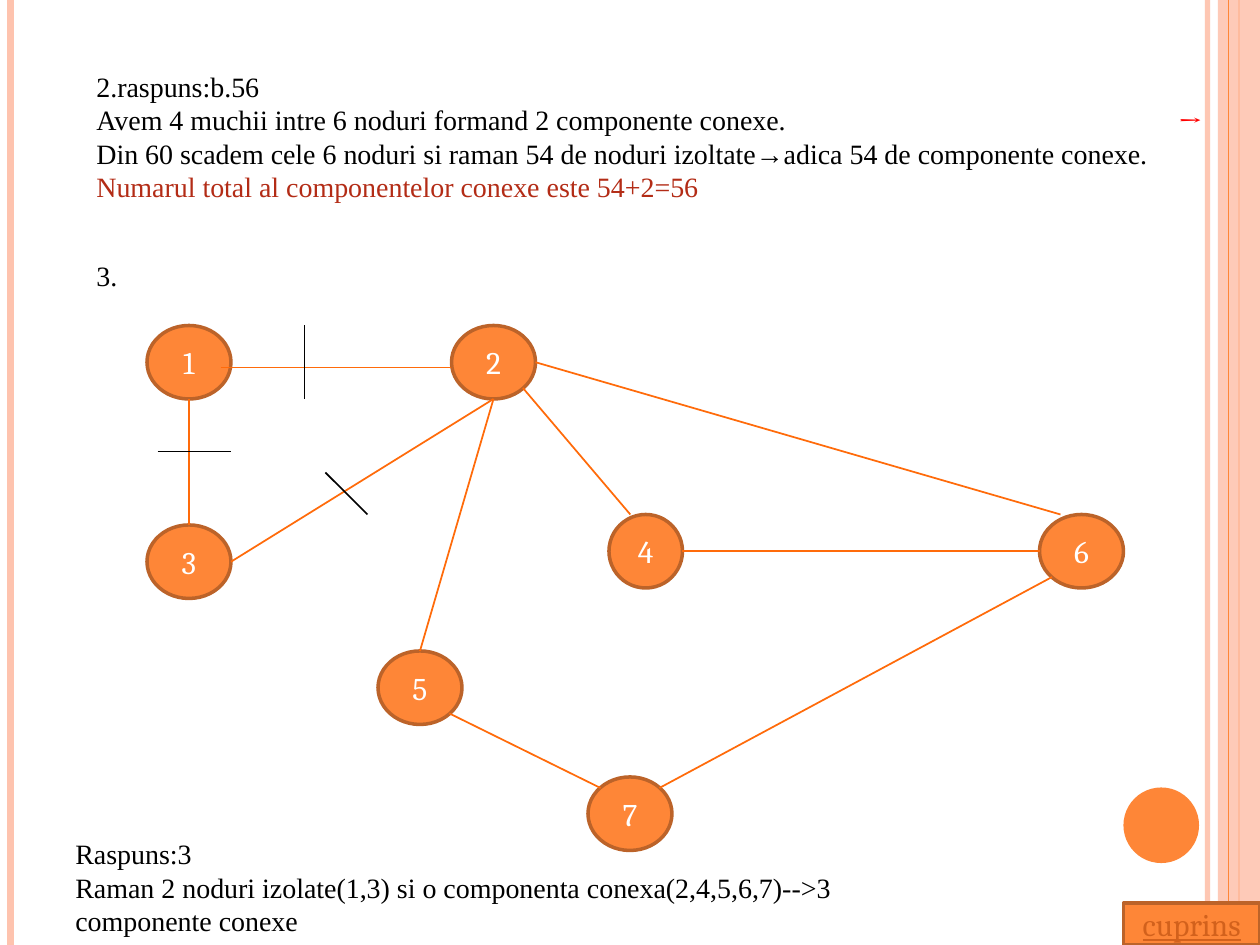
from lxml import etree
from pptx import Presentation
from pptx.dml.color import RGBColor
from pptx.enum import shapes, text
from pptx.oxml.ns import qn
from pptx.util import Pt

ORANGE, RIM, EDGE, PEACH = "FE8637", "BC6329", "FF6B0A", "FEC3AE"
BLACK, WHITE, RED = "000000", "FFFFFF", "B32C16"
SERIF, HEADING = "Times New Roman", "Cambria"
SHAPE = shapes.MSO_SHAPE

NODE_W, NODE_H = 48, 42
# label: left, top, width within the graph's box
NODES = {
    "1": (0, 0, NODE_W), "2": (174, 0, NODE_W), "3": (0, 114, NODE_W),
    "4": (264, 108, NODE_H), "5": (132, 186, NODE_W),
    "6": (510, 108, NODE_W), "7": (252, 258, NODE_W),
}
# Points on a node, as fractions of its width and height
TOP, BOTTOM, LEFT, RIGHT = (0.5, 0), (0.5, 1), (0, 0.5), (1, 0.5)
TOP_LEFT, TOP_RIGHT = (0.15, 0.15), (0.85, 0.15)
BOTTOM_LEFT, BOTTOM_RIGHT = (0.15, 0.85), (0.85, 0.85)
EDGES = [
    ("1", (0.88, 0.57), "2", (0, 0.57)),
    ("1", BOTTOM, "3", TOP),
    ("3", RIGHT, "2", BOTTOM),
    ("2", BOTTOM_RIGHT, "4", (0.29, 0)),
    ("2", RIGHT, "6", (0.25, 0)),
    ("2", BOTTOM, "5", TOP),
    ("4", RIGHT, "6", LEFT),
    ("5", BOTTOM_RIGHT, "7", TOP_LEFT),
    ("7", TOP_RIGHT, "6", BOTTOM_LEFT),
]
# Strokes that cross out the removed edges, within the graph's box
CUTS = [(90, 0, 90, 42), (6, 72, 48, 72), (102, 84, 126, 108)]


def paint(color_format, hex_color, alpha=None):
    color_format.rgb = RGBColor.from_string(hex_color)
    return alpha


def set_alpha(fill_parent, percent):
    color = fill_parent.find(".//" + qn("a:srgbClr"))
    etree.SubElement(color, qn("a:alpha")).set("val", str(percent * 1000))


def add_line(parent, x1, y1, x2, y2, color, width):
    line = parent.add_connector(shapes.MSO_CONNECTOR.STRAIGHT,
                                Pt(x1), Pt(y1), Pt(x2), Pt(y2))
    line.line.width = Pt(width)
    paint(line.line.color, color)
    etree.SubElement(line._element.spPr, qn("a:effectLst"))
    return line


def add_filled(parent, kind, box, fill, rim=None):
    shape = parent.add_shape(kind, *map(Pt, box))
    shape.shadow.inherit = False
    shape.fill.solid()
    paint(shape.fill.fore_color, fill)
    if rim:
        shape.line.width = Pt(2)
        paint(shape.line.color, rim)
    else:
        shape.line.fill.background()
    return shape


def add_run(paragraph, wording, font, size, color):
    run = paragraph.add_run()
    run.text = wording
    run.font.name, run.font.size = font, Pt(size)
    paint(run.font.color, color)
    return run


def add_label(shape, wording, color):
    frame = shape.text_frame
    frame.vertical_anchor = text.MSO_ANCHOR.MIDDLE
    frame.paragraphs[0].alignment = text.PP_ALIGN.CENTER
    return add_run(frame.paragraphs[0], wording, HEADING, 18, color)


def add_passage(slide, box, lines, font=SERIF, size=16):
    """Place a text box with one paragraph for each (wording, colour)."""
    frame = slide.shapes.add_textbox(*map(Pt, box)).text_frame
    frame.word_wrap = True
    for i, (wording, color) in enumerate(lines):
        paragraph = frame.add_paragraph() if i else frame.paragraphs[0]
        add_run(paragraph, wording, font, size, color)


def draw_side_bands(slide, left, top, width, height):
    def stripe(x, color, weight):
        return add_line(slide.shapes, left + x, top, left + x, top + height,
                        color, weight)

    set_alpha(stripe(width - 30, PEACH, 3)._element.spPr, 93)
    stripe(6, PEACH, 4.5)
    stripe(width - 12, PEACH, 1.5).line.color.rgb = RGBColor.from_string(ORANGE)
    band = add_filled(slide.shapes, SHAPE.RECTANGLE,
                      (left + width - 24, top, 24, height), PEACH)
    set_alpha(band._element.spPr, 87)
    stripe(width - 18, ORANGE, 0.75)
    add_filled(slide.shapes, SHAPE.OVAL,
               (left + width - 78, top + height - 90, 43.2, 43.2), ORANGE)


def draw_graph(slide, left, top):
    graph = slide.shapes.add_group_shape().shapes
    for label, (x, y, width) in NODES.items():
        node = add_filled(graph, SHAPE.OVAL,
                          (left + x, top + y, width, NODE_H), ORANGE, RIM)
        add_label(node, label, WHITE)

    def point(label, spot):
        x, y, width = NODES[label]
        return left + x + spot[0] * width, top + y + spot[1] * NODE_H

    for start, start_spot, end, end_spot in EDGES:
        add_line(graph, *point(start, start_spot), *point(end, end_spot), EDGE, 1)
    for x1, y1, x2, y2 in CUTS:
        add_line(slide.shapes, left + x1, top + y1, left + x2, top + y2, BLACK, 1)


def draw_contents_button(slide, box):
    button = add_filled(slide.shapes, SHAPE.ACTION_BUTTON_CUSTOM, box, ORANGE, RIM)
    add_label(button, "cuprins", "D2611C").font.underline = True


def main():
    deck = Presentation()
    deck.slide_width, deck.slide_height = Pt(720), Pt(540)
    slide = deck.slides.add_slide(deck.slide_layouts[6])

    draw_side_bands(slide, 0, 0, 720, 540)
    add_passage(slide, (48, 36, 630, 85), [
        ("2.raspuns:b.56", BLACK),
        ("Avem 4 muchii intre 6 noduri formand 2 componente conexe.", BLACK),
        ("Din 60 scadem cele 6 noduri si raman 54 de noduri izoltate→"
         "adica 54 de componente conexe.", BLACK),
        ("Numarul total al componentelor conexe este 54+2=56", RED),
    ])
    add_passage(slide, (666, 54, 54, 29), [("→", "FF0000")], HEADING, 18)
    add_passage(slide, (48, 144, 36, 48), [("3.", BLACK)])
    draw_graph(slide, 84, 186)
    add_passage(slide, (36, 474.5, 450, 65.5), [
        ("Raspuns:3", BLACK),
        ("Raman 2 noduri izolate(1,3) si o componenta conexa(2,4,5,6,7)-->3 "
         "componente conexe", BLACK),
    ])
    draw_contents_button(slide, (642, 516, 78, 24))
    deck.save("out.pptx")


if __name__ == "__main__":
    main()
